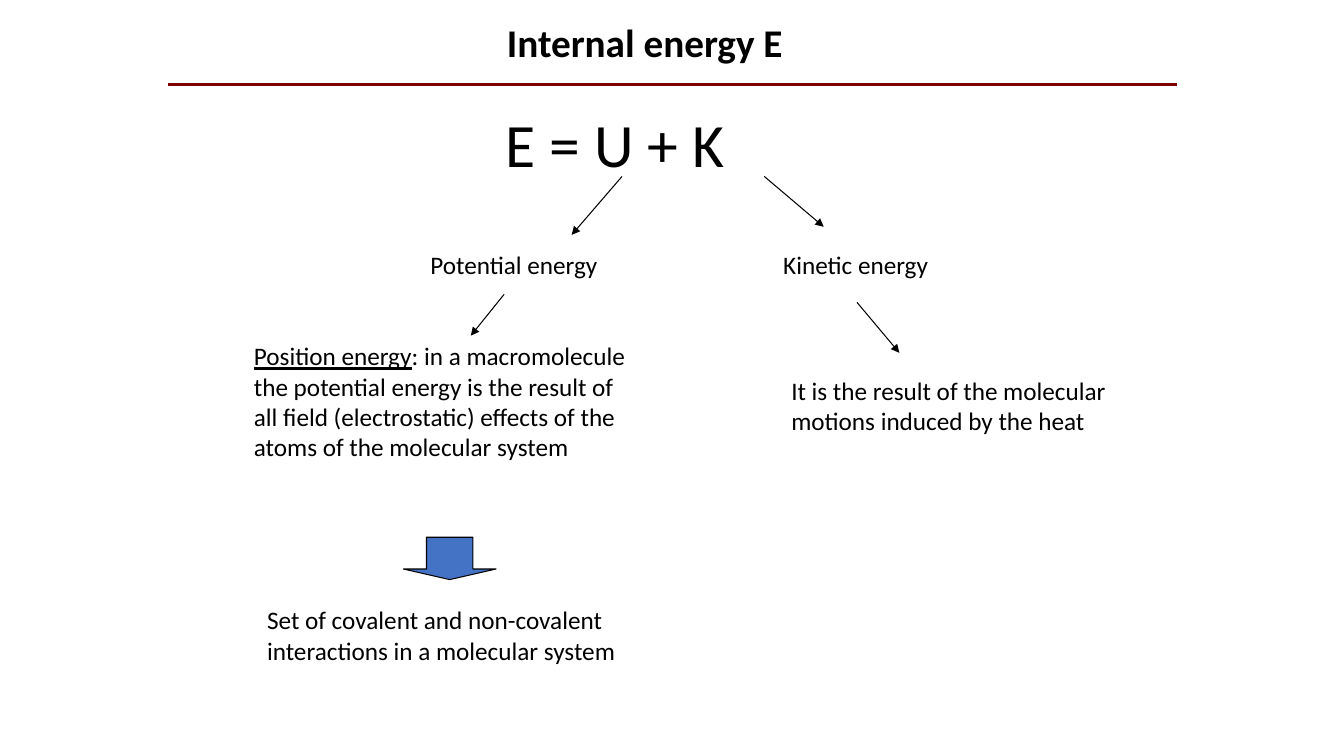
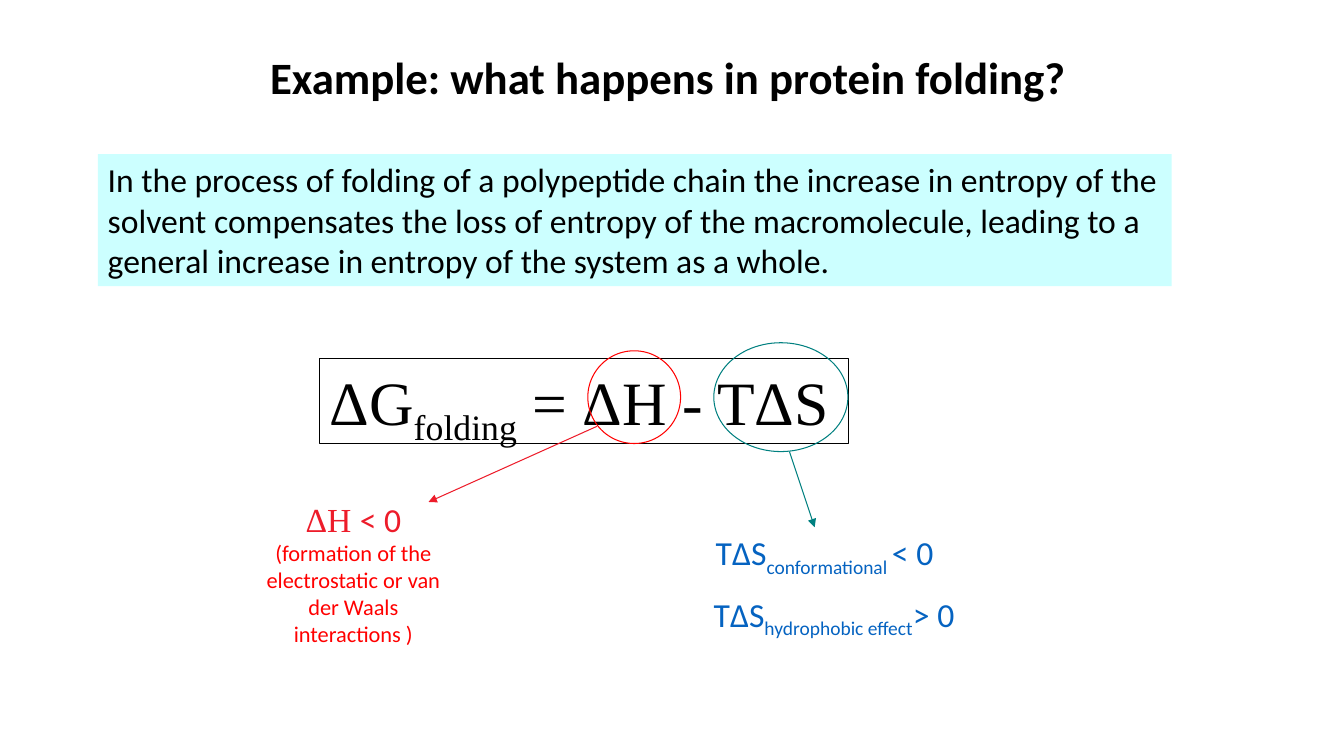
from dataclasses import dataclass
from typing import Optional

from lxml.etree import SubElement
from pptx import Presentation
from pptx.dml.color import RGBColor
from pptx.enum.shapes import MSO_CONNECTOR as Connector, MSO_SHAPE as Shape
from pptx.enum.text import MSO_ANCHOR as Anchor, MSO_AUTO_SIZE as AutoSize, PP_ALIGN as Align
from pptx.oxml.ns import qn
from pptx.util import Inches, Pt

BLACK, WHITE, MAROON, BLUE = "000000", "FFFFFF", "800000", "4472C4"
PALE_CYAN, RED, CRIMSON, TEAL, LINK_BLUE = "CCFFFF", "FF0000", "ED1C2A", "008080", "0563C1"
SANS, SERIF = "Calibri", "Times New Roman"
THIN = 0.75


@dataclass
class Span:
    text: str
    underline: bool = False
    subscript: bool = False
    font: Optional[str] = None
    size: Optional[float] = None
    color: Optional[str] = None


@dataclass
class Label:
    area: tuple
    paragraphs: list
    size: float = 18
    wrap: bool = True


@dataclass
class Arrow:
    start: tuple
    end: tuple
    color: str = BLACK


@dataclass
class Ring:
    area: tuple
    color: str


def rgb(value: str) -> RGBColor:
    return RGBColor.from_string(value)


def inches(values: tuple) -> list:
    return [Inches(value) for value in values]


def set_outline(item, color: str, width: float = THIN) -> None:
    item.line.color.rgb = rgb(color)
    item.line.width = Pt(width)


def add_text(page, area: tuple, paragraphs: list, size: float = 18, font: str = SANS,
             color: str = BLACK, bold: bool = False, align=Align.LEFT, wrap: bool = True,
             fill: Optional[str] = None, outline: Optional[str] = None):
    box = page.shapes.add_textbox(*inches(area))
    if fill:
        box.fill.solid()
        box.fill.fore_color.rgb = rgb(fill)
    if outline:
        set_outline(box, outline)
    frame = box.text_frame
    frame.word_wrap = wrap
    frame.auto_size = AutoSize.SHAPE_TO_FIT_TEXT
    frame.vertical_anchor = Anchor.TOP
    for index, spans in enumerate(paragraphs):
        para = frame.add_paragraph() if index else frame.paragraphs[0]
        para.alignment = align
        for span in spans:
            run = para.add_run()
            run.text = span.text
            run.font.name = span.font or font
            run.font.size = Pt(span.size or size)
            run.font.color.rgb = rgb(span.color or color)
            run.font.bold = bold
            run.font.underline = span.underline
            if span.subscript:
                run._r.get_or_add_rPr().set("baseline", "-25000")
    return box


def add_title(page, area: tuple, text: str, size: float) -> None:
    add_text(page, area, [[Span(text)]], size=size, bold=True, wrap=False)


def add_line(page, start: tuple, end: tuple, color: str = BLACK,
             width: float = THIN, arrowhead: bool = True) -> None:
    line = page.shapes.add_connector(Connector.STRAIGHT, *inches(start + end))
    set_outline(line, color, width)
    if arrowhead:
        SubElement(line.line._get_or_add_ln(), qn("a:tailEnd"), type="triangle")
    SubElement(line._element.spPr, qn("a:effectLst"))


def add_figure(page, kind, area: tuple, outline: str, fill: Optional[str] = None):
    figure = page.shapes.add_shape(kind, *inches(area))
    figure.shadow.inherit = False
    if fill:
        figure.fill.solid()
        figure.fill.fore_color.rgb = rgb(fill)
    else:
        figure.fill.background()
    set_outline(figure, outline)
    return figure


def add_page(deck):
    page = deck.slides.add_slide(deck.slide_layouts[6])
    page.background.fill.solid()
    page.background.fill.fore_color.rgb = rgb(WHITE)
    return page


def build_internal_energy(deck) -> None:
    page = add_page(deck)
    add_title(page, (4.93, 0.13, 2.97, 0.57), "Internal energy E", 28)
    add_line(page, (1.67, 0.84), (11.67, 0.84), MAROON, 2, arrowhead=False)
    labels = [
        Label((4.92, 1, 2.4, 0.84), [[Span("E = U + K")]], 44, False),
        Label((4.17, 2.42, 2.92, 0.4), [[Span("Potential energy")]]),
        Label((7.67, 2.42, 1.66, 0.4), [[Span("Kinetic energy")]], wrap=False),
        Label((2.42, 3.33, 4, 1.31), [[
            Span("Position energy", underline=True),
            Span(": in a macromolecule the potential energy is the result of all field "
                 "(electrostatic) effects of the atoms of the molecular system")]]),
        Label((7.75, 3.67, 3.37, 0.71), [[
            Span("It is the result of the molecular motions induced by the heat")]]),
        Label((2.55, 5.95, 3.81, 0.71), [[
            Span("Set of covalent and non-covalent interactions in a molecular system")]]),
    ]
    for label in labels:
        add_text(page, label.area, label.paragraphs, size=label.size, wrap=label.wrap)
    arrows = [
        Arrow((6.17, 1.75), (5.67, 2.33)),
        Arrow((7.58, 1.75), (8.17, 2.25)),
        Arrow((5, 2.92), (4.67, 3.33)),
        Arrow((8.5, 3), (8.92, 3.5)),
    ]
    for arrow in arrows:
        add_line(page, arrow.start, arrow.end, arrow.color)
    block_arrow = add_figure(page, Shape.DOWN_ARROW, (4, 5.33, 0.92, 0.42), BLACK, BLUE)
    block_arrow.adjustments[0] = 0.5
    block_arrow.adjustments[1] = 0.25


def build_protein_folding(deck) -> None:
    page = add_page(deck)
    add_title(page, (2.58, 0.44, 8.16, 0.64), "Example: what happens in protein folding?", 32)
    add_text(page, (0.97, 1.53, 10.65, 1.31), [[
        Span("In the process of folding of a polypeptide chain the increase in entropy of the "
             "solvent compensates the loss of entropy of the macromolecule, leading to a "
             "general increase in entropy of the system as a whole.")]],
        size=24, fill=PALE_CYAN)
    add_text(page, (3.17, 3.56, 5.25, 0.84), [[
        Span("ΔG"), Span("folding", subscript=True), Span(" = ΔH - TΔS")]],
        size=44, font=SERIF, wrap=False, outline=BLACK)
    add_text(page, (2.42, 4.9, 2.17, 1.58), [
        [Span("ΔH ", font=SERIF), Span("< 0")],
        [Span("(formation of the electrostatic or van der Waals interactions )",
              size=16, color=RED)]],
        size=24, color=CRIMSON, align=Align.CENTER)
    entropy_terms = [
        Label((7, 5.23, 2.58, 0.5), [[
            Span("TΔS"), Span("conformational ", subscript=True), Span("< 0")]], 24, False),
        Label((6.98, 5.84, 2.85, 0.5), [[
            Span("TΔS"), Span("hydrophobic effect", subscript=True), Span("> 0")]], 24, False),
    ]
    for term in entropy_terms:
        add_text(page, term.area, term.paragraphs, size=term.size,
                 color=LINK_BLUE, wrap=term.wrap)
    for ring in (Ring((5.83, 3.48, 0.92, 0.92), RED), Ring((7.08, 3.4, 1.33, 1.08), TEAL)):
        add_figure(page, Shape.OVAL, ring.area, ring.color)
    for arrow in (Arrow((5.92, 4.23), (4.25, 4.98), CRIMSON),
                  Arrow((7.83, 4.48), (8.08, 5.23), TEAL)):
        add_line(page, arrow.start, arrow.end, arrow.color)


def main() -> None:
    deck = Presentation()
    deck.slide_width = Inches(13.33)
    deck.slide_height = Inches(7.5)
    build_internal_energy(deck)
    build_protein_folding(deck)
    deck.save("out.pptx")


if __name__ == "__main__":
    main()
